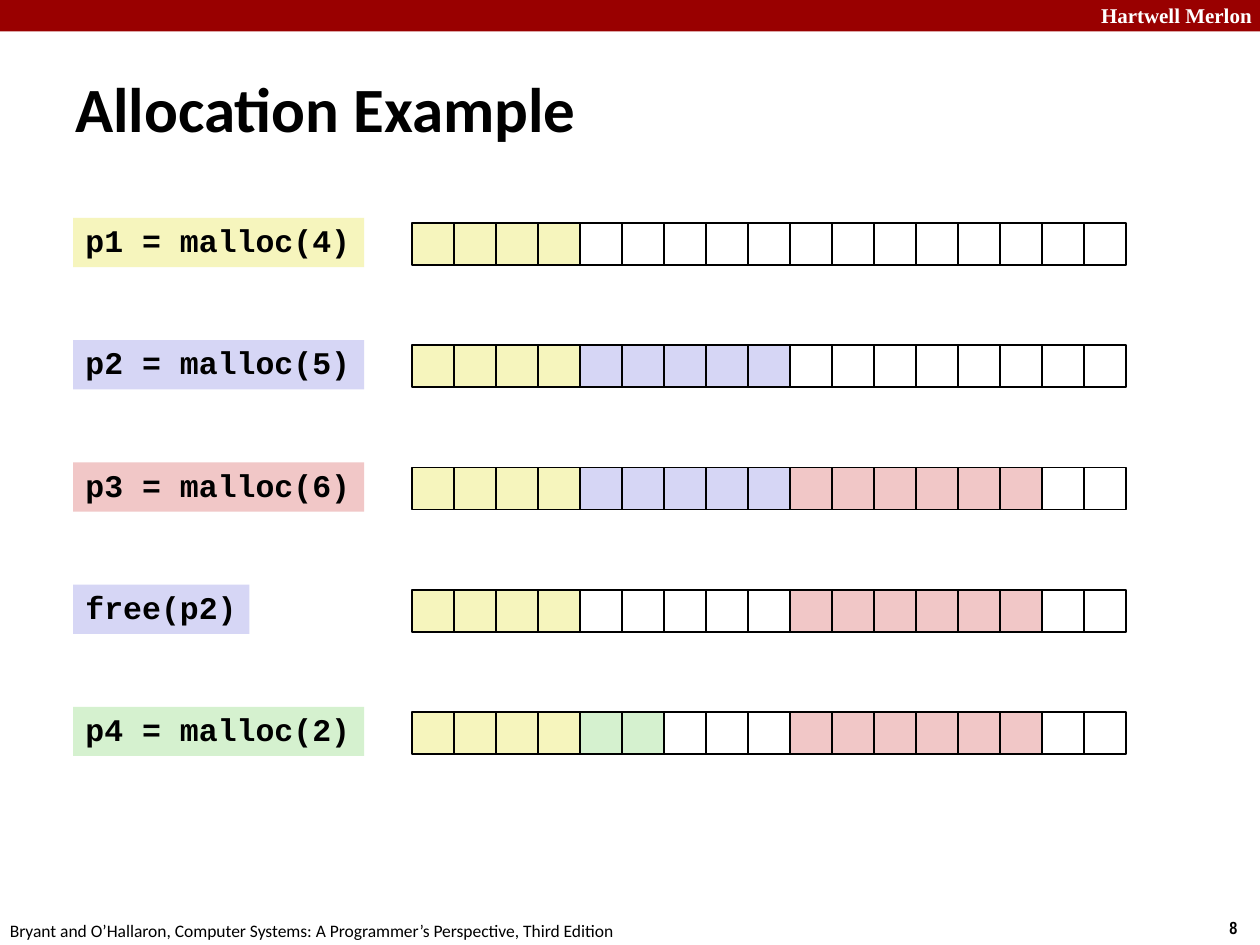
from pptx import Presentation
from pptx.dml.color import RGBColor
from pptx.enum.shapes import MSO_SHAPE
from pptx.enum.text import MSO_ANCHOR
from pptx.util import Inches, Pt

YELLOW, BLUE, RED, GREEN = "F6F5BD", "D6D6F5", "F1C7C7", "D5F1CF"
WHITE, BLACK, BANNER = "FFFFFF", "000000", "990000"


def add_rect(shapes, x, y, w, h, fill, line=None):
    sp = shapes.add_shape(MSO_SHAPE.RECTANGLE, Inches(x), Inches(y), Inches(w), Inches(h))
    sp.shadow.inherit = False
    sp.fill.solid()
    sp.fill.fore_color.rgb = RGBColor.from_string(fill)
    if line:
        sp.line.color.rgb = RGBColor.from_string(line)
        sp.line.width = Pt(1)
    else:
        sp.line.fill.background()
    return sp


def add_text(x, y, w, h, text, font, size, bold=True, color=BLACK, wrap=False):
    sp = s.shapes.add_textbox(Inches(x), Inches(y), Inches(w), Inches(h))
    tf = sp.text_frame
    tf.text = text
    tf.word_wrap = wrap
    r = tf.paragraphs[0].runs[0]
    r.font.name = font
    r.font.size = Pt(size)
    r.font.bold = bold
    r.font.color.rgb = RGBColor.from_string(color)
    return sp


prs = Presentation()
prs.slide_width, prs.slide_height = Inches(10), Inches(7.5)
s = prs.slides.add_slide(prs.slide_layouts[6])

# Banner, footer and title
add_rect(s.shapes, 0, 0, 10, 0.25, BANNER)
add_text(8.64, -0.03, 1.43, 0.3, "Hartwell Merlon", "Times New Roman", 12, color=WHITE, wrap=True)
add_text(9.66, 7.23, 0.34, 0.27, "8", "Arial Narrow", 10)
add_text(-0.02, 7.25, 5.08, 0.27,
         "Bryant and O’Hallaron, Computer Systems: A Programmer’s Perspective, Third Edition",
         "Calibri", 10, bold=False)
title = add_text(0.5, 0.54, 7.07, 0.63, "Allocation Example", "Calibri", 36, wrap=True)
title.text_frame.vertical_anchor = MSO_ANCHOR.MIDDLE

# Each step: call, label width, label colour, blocks of the heap as (words, colour)
steps = [
    ("p1 = malloc(4)", 2.31, YELLOW, [(4, YELLOW), (13, WHITE)]),
    ("p2 = malloc(5)", 2.31, BLUE, [(4, YELLOW), (5, BLUE), (8, WHITE)]),
    ("p3 = malloc(6)", 2.31, RED, [(4, YELLOW), (5, BLUE), (6, RED), (2, WHITE)]),
    ("free(p2)", 1.4, BLUE, [(4, YELLOW), (5, WHITE), (6, RED), (2, WHITE)]),
    ("p4 = malloc(2)", 2.31, GREEN,
     [(4, YELLOW), (2, GREEN), (3, WHITE), (6, RED), (2, WHITE)]),
]
HEAP_LEFT, TOP, ROW_STEP, WORD = 3.27, 1.73, 0.97, 1 / 3

for row, (call, width, color, blocks) in enumerate(steps):
    y = TOP + row * ROW_STEP
    heap = s.shapes.add_group_shape()
    words = [fill for count, fill in blocks for _ in range(count)]
    for i, fill in enumerate(words):
        add_rect(heap.shapes, HEAP_LEFT + i * WORD, y + 0.04, WORD, WORD, fill, BLACK)

    label = add_text(0.58, y, width, 0.39, call, "Courier New", 18)
    label.fill.solid()
    label.fill.fore_color.rgb = RGBColor.from_string(color)
    label.text_frame.paragraphs[0].line_spacing = 0.94

prs.save("out.pptx")
